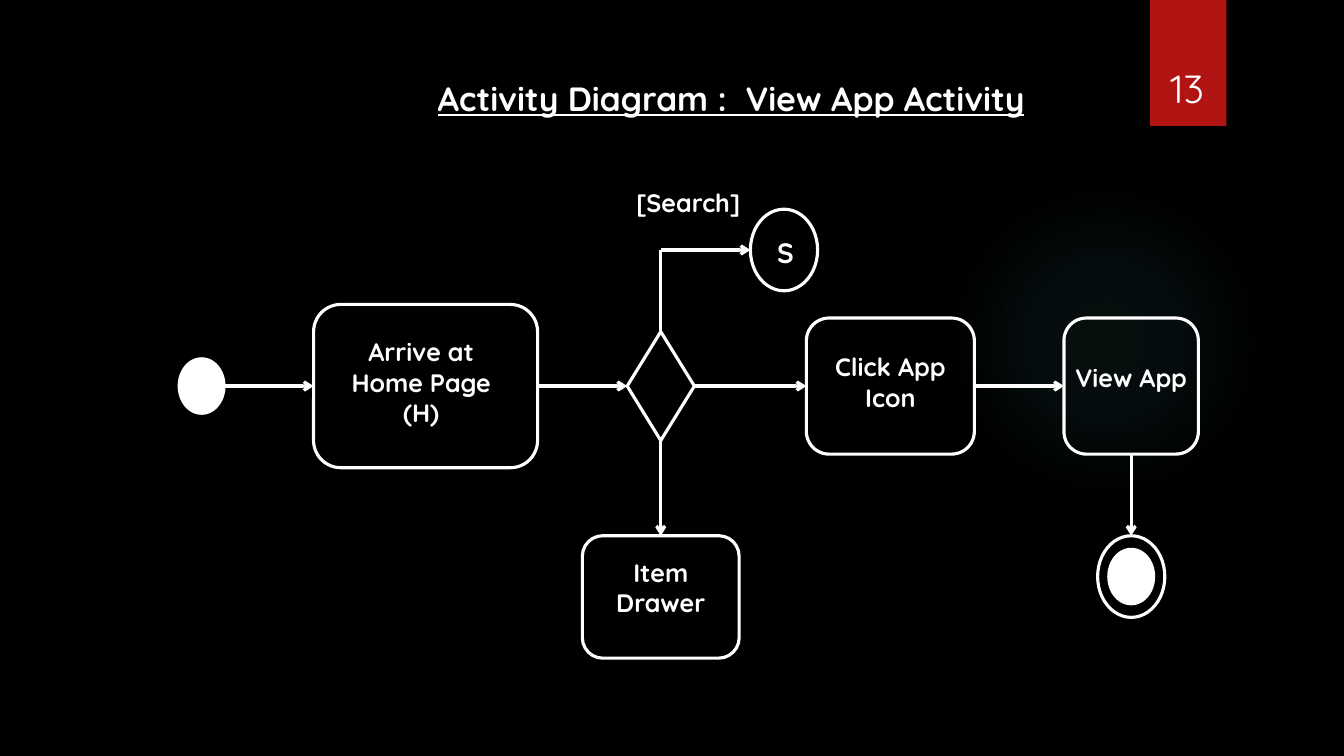
from lxml.etree import SubElement
from pptx import Presentation
from pptx.dml.color import RGBColor
from pptx.enum.shapes import MSO_CONNECTOR, MSO_SHAPE
from pptx.enum.text import MSO_ANCHOR, PP_ALIGN
from pptx.oxml import parse_xml
from pptx.oxml.ns import nsdecls, qn
from pptx.util import Inches, Pt

BLACK = RGBColor(0x00, 0x00, 0x00)
WHITE = RGBColor(0xFF, 0xFF, 0xFF)
RED = RGBColor(0xB0, 0x15, 0x13)
TEAL = RGBColor(0x50, 0xB9, 0xC1)
FONT = "Quicksand"
WIDTH, HEIGHT = 13.33, 7.5
COL, ROW, TOP = WIDTH / 60, 0.27, 0.05
MID = 14
UP, LEFT, DOWN, RIGHT = range(4)


def point(col, row):
    """Turn a grid position into slide coordinates."""
    return Inches(col * COL), Inches(TOP + row * ROW)


def extent(cols, rows):
    """Turn a grid size into a width and a height."""
    return Inches(cols * COL), Inches(rows * ROW)


def add_node(slide, kind, col, row, cols, rows, fill=None, line=WHITE):
    """Add a shape centred on a grid position."""
    sp = slide.shapes.add_shape(
        kind, *point(col - cols / 2, row - rows / 2), *extent(cols, rows))
    sp.shadow.inherit = False
    if fill is None:
        sp.fill.background()
    else:
        sp.fill.solid()
        sp.fill.fore_color.rgb = fill
    if line is None:
        sp.line.fill.background()
    else:
        sp.line.color.rgb = line
        sp.line.width = Pt(2.25)
    return sp


def add_text(slide, text, col, row, cols, rows, size=18, bold=True,
             underline=None, align=PP_ALIGN.CENTER, anchor=MSO_ANCHOR.TOP,
             wrap=True):
    """Add a text box with its top left corner on a grid position."""
    sp = slide.shapes.add_textbox(*point(col, row), *extent(cols, rows))
    tf = sp.text_frame
    tf.word_wrap = wrap
    tf.vertical_anchor = anchor
    tf.text = text
    p = tf.paragraphs[0]
    p.alignment = align
    font = p.runs[0].font
    font.name = FONT
    font.size = Pt(size)
    font.bold = bold
    font.underline = underline
    font.color.rgb = WHITE


def add_flow(slide, start, end, source=None, target=None, arrow=True):
    """Draw a flow line, joined to (shape, side) pairs where given."""
    c = slide.shapes.add_connector(
        MSO_CONNECTOR.STRAIGHT, *point(*start), *point(*end))
    c.line.color.rgb = WHITE
    c.line.width = Pt(2.25)
    if arrow:
        SubElement(c.line._get_or_add_ln(), qn("a:tailEnd"), type="arrow")
    SubElement(c._element.spPr, qn("a:effectLst"))
    if source:
        c.begin_connect(*source)
    if target:
        c.end_connect(*target)


def add_glow(slide, col, row, size):
    """Add a faint round glow that fades outwards."""
    cols = size / COL
    sp = add_node(slide, MSO_SHAPE.OVAL, col, row, cols, size / ROW, TEAL, None)
    stops = "".join(
        f'<a:gs pos="{pos}000"><a:srgbClr val="{TEAL}">'
        f'<a:alpha val="{alpha}000"/></a:srgbClr></a:gs>'
        for pos, alpha in ((0, 7), (36, 6), (69, 0)))
    grad = parse_xml(
        f'<a:gradFill {nsdecls("a")}><a:gsLst>{stops}</a:gsLst>'
        '<a:path path="circle"><a:fillToRect l="50000" t="50000" '
        'r="50000" b="50000"/></a:path></a:gradFill>')
    spPr = sp._element.spPr
    spPr.replace(spPr.find(qn("a:solidFill")), grad)


def add_diagram(slide):
    """Add the nodes, flows and labels of the activity diagram."""
    box, oval = MSO_SHAPE.ROUNDED_RECTANGLE, MSO_SHAPE.OVAL
    add_node(slide, oval, 9, MID, 2, 2, WHITE)
    home = add_node(slide, box, 19, MID, 10, 6)
    choice = add_node(slide, MSO_SHAPE.DIAMOND, 29.5, MID, 3, 4)
    add_node(slide, oval, 35, MID - 5, 3, 3)
    drawer = add_node(slide, box, 29.5, MID + 7.75, 7, 4.5)
    icon = add_node(slide, box, 39.75, MID, 7.5, 5)
    view = add_node(slide, box, 50.5, MID, 6, 5)
    add_node(slide, oval, 50.5, MID + 7, 2, 2, WHITE)
    add_node(slide, oval, 50.5, MID + 7, 3, 3)

    add_flow(slide, (10, MID), (14, MID), target=(home, LEFT))
    for source, target in ((home, choice), (choice, icon), (icon, view)):
        add_flow(slide, (0, MID), (0, MID), (source, RIGHT), (target, LEFT))
    add_flow(slide, (29.5, MID - 2), (29.5, MID - 5), (choice, UP), arrow=False)
    add_flow(slide, (29.5, MID - 5), (33.5, MID - 5))
    add_flow(slide, (29.5, MID), (29.5, MID), (choice, DOWN), (drawer, UP))
    add_flow(slide, (50.5, MID), (50.5, MID + 5.5), (view, DOWN))

    add_text(slide, "Arrive at Home Page (H)", 14.3, 12, 9, 6)
    add_text(slide, "Item Drawer", 25.75, 20.1, 7.5, 4.25)
    add_text(slide, "Click App Icon", 35.75, 12.55, 8, 4.25)
    add_text(slide, "View App", 47, 12.95, 7, 4.25)
    add_text(slide, "[Search]", 27.55, 6.5, 6.35, 2.45, wrap=False)
    add_text(slide, "S", 34.25, 8.3, 1.6, 1.6, 20, align=PP_ALIGN.LEFT,
             wrap=False)


def main():
    """Build the slide and save it."""
    prs = Presentation()
    prs.slide_width, prs.slide_height = Inches(WIDTH), Inches(HEIGHT)
    slide = prs.slides.add_slide(prs.slide_layouts[6])
    slide.background.fill.solid()
    slide.background.fill.fore_color.rgb = BLACK
    add_glow(slide, 49.3, 12.3, 3.08)
    ribbon = 1.25 / ROW
    add_node(slide, MSO_SHAPE.RECTANGLE, 53.05, ribbon / 2 - TOP / ROW,
             3.4, ribbon, RED, None)
    add_diagram(slide)
    add_text(slide, "Activity Diagram :  View App Activity", 19.1, 2.5, 30.7,
             1.85, 24, underline=True, align=PP_ALIGN.LEFT)
    add_text(slide, "13", 50.95, 1, 4.1, 3.1, 28, bold=False,
             anchor=MSO_ANCHOR.BOTTOM)
    prs.save("out.pptx")


if __name__ == "__main__":
    main()
